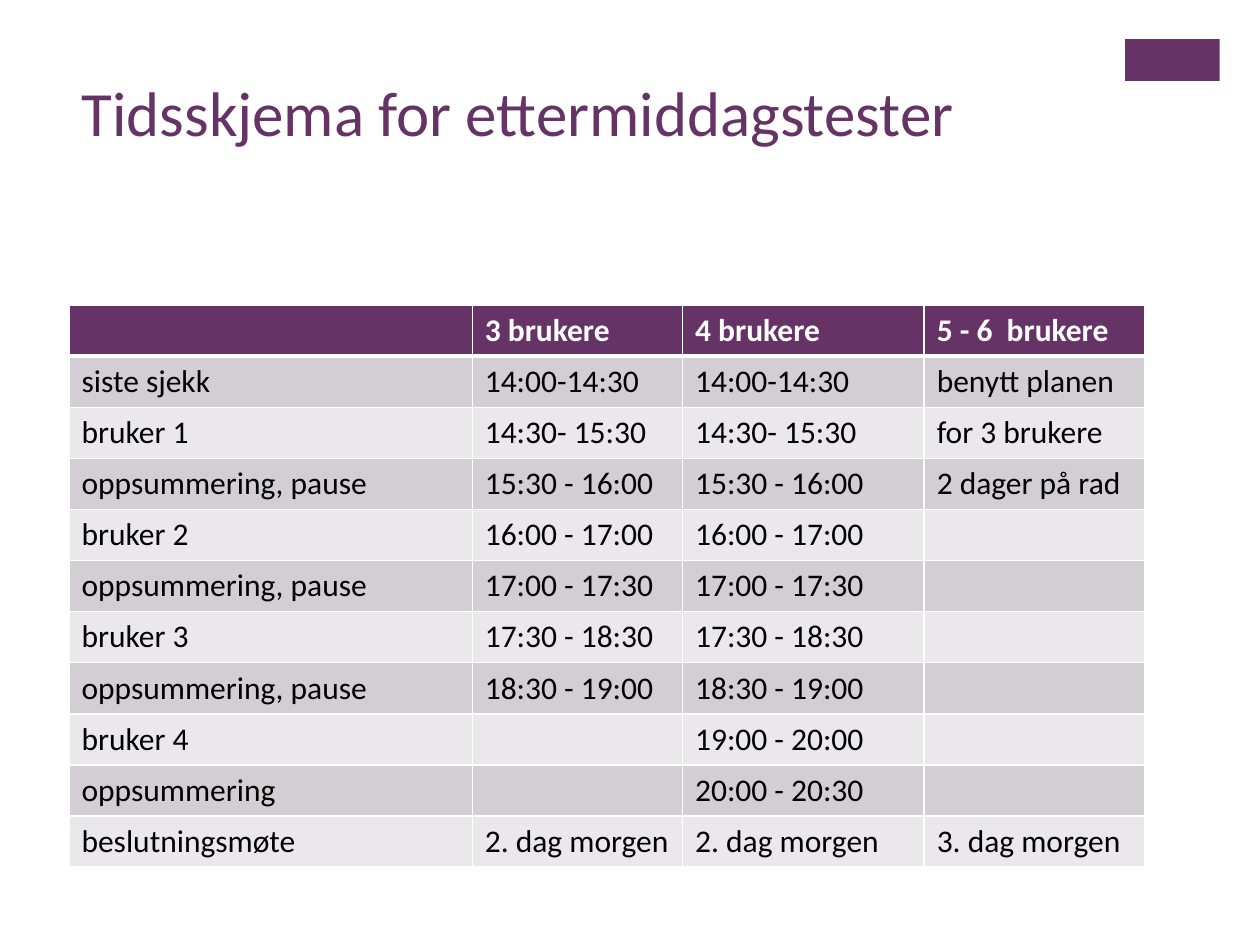
from typing import NamedTuple

from lxml.etree import SubElement
from pptx import Presentation
from pptx.dml.color import RGBColor
from pptx.enum.shapes import MSO_SHAPE
from pptx.enum.text import MSO_ANCHOR, MSO_AUTO_SIZE, PP_ALIGN
from pptx.oxml.ns import qn
from pptx.util import Cm, Pt

PURPLE = RGBColor(0x66, 0x33, 0x66)
DARK_BAND = RGBColor(0xD3, 0xCE, 0xD3)
LIGHT_BAND = RGBColor(0xEA, 0xE8, 0xEA)
WHITE = RGBColor(0xFF, 0xFF, 0xFF)
BLACK = RGBColor(0x00, 0x00, 0x00)
FONT = "Calibri"
LEFT = Cm(1.39)
ROW_HEIGHT = Cm(1.03)
COLUMN_WIDTHS = (Cm(8.13), Cm(4.24), Cm(4.87), Cm(4.45))


class Activity(NamedTuple):
    """One table row: an activity and its time for each number of users."""
    name: str
    three_users: str = ""
    four_users: str = ""
    more_users: str = ""


SCHEDULE = (
    Activity("", "3 brukere", "4 brukere", "5 - 6  brukere"),
    Activity("siste sjekk", "14:00-14:30", "14:00-14:30", "benytt planen"),
    Activity("bruker 1", "14:30- 15:30", "14:30- 15:30", "for 3 brukere"),
    Activity("oppsummering, pause", "15:30 - 16:00", "15:30 - 16:00", "2 dager på rad"),
    Activity("bruker 2", "16:00 - 17:00", "16:00 - 17:00"),
    Activity("oppsummering, pause", "17:00 - 17:30", "17:00 - 17:30"),
    Activity("bruker 3", "17:30 - 18:30", "17:30 - 18:30"),
    Activity("oppsummering, pause", "18:30 - 19:00", "18:30 - 19:00"),
    Activity("bruker 4", "", "19:00 - 20:00"),
    Activity("oppsummering", "", "20:00 - 20:30"),
    Activity("beslutningsmøte", "2. dag morgen", "2. dag morgen", "3. dag morgen"),
)


def format_font(font, size: int, color: RGBColor, bold: bool = False) -> None:
    """Apply the slide's font with a size, colour and weight."""
    font.name = FONT
    font.size = Pt(size)
    font.bold = bold
    font.color.rgb = color


def add_title(slide, text: str) -> None:
    """Place and format the title placeholder."""
    title = slide.shapes.title
    title.left, title.top, title.width, title.height = LEFT, Cm(1.35), Cm(20.98), Cm(3.1)
    frame = title.text_frame
    frame.text = text
    frame.auto_size = MSO_AUTO_SIZE.NONE
    frame.vertical_anchor = MSO_ANCHOR.TOP
    paragraph = frame.paragraphs[0]
    paragraph.alignment = PP_ALIGN.LEFT
    format_font(paragraph.runs[0].font, 36, PURPLE)


def add_corner_block(slide) -> None:
    """Draw the plain block in the top right corner."""
    block = slide.shapes.add_shape(MSO_SHAPE.RECTANGLE, Cm(22.68), Cm(0.79), Cm(1.91), Cm(0.84))
    block.shadow.inherit = False
    block.fill.solid()
    block.fill.fore_color.rgb = PURPLE
    block.line.fill.background()


def set_borders(cell, row: int) -> None:
    """Draw white borders, with a thicker rule below the header row."""
    properties = cell._tc.get_or_add_tcPr()
    thick_side = {0: "a:lnB", 1: "a:lnT"}.get(row)
    for position, side in enumerate(("a:lnL", "a:lnR", "a:lnT", "a:lnB")):
        width = Pt(3 if side == thick_side else 1)
        line = SubElement(properties, qn(side), w=str(int(width)))
        fill = SubElement(line, qn("a:solidFill"))
        SubElement(fill, qn("a:srgbClr"), val=str(WHITE))
        properties.insert(position, line)


def fill_cell(cell, text: str, row: int) -> None:
    """Write one cell and give it the style of its row."""
    header = row == 0
    cell.fill.solid()
    cell.fill.fore_color.rgb = PURPLE if header else DARK_BAND if row % 2 else LIGHT_BAND
    set_borders(cell, row)
    cell.text_frame.text = text
    for run in cell.text_frame.paragraphs[0].runs:
        format_font(run.font, 18, WHITE if header else BLACK, header)


def add_schedule(slide) -> None:
    """Add the timetable."""
    table = slide.shapes.add_table(
        len(SCHEDULE), len(COLUMN_WIDTHS), LEFT, Cm(6.15),
        sum(COLUMN_WIDTHS), ROW_HEIGHT * len(SCHEDULE)).table
    for column, width in zip(table.columns, COLUMN_WIDTHS):
        column.width = width
    for row, activity in enumerate(SCHEDULE):
        table.rows[row].height = ROW_HEIGHT
        for column, text in enumerate(activity):
            fill_cell(table.cell(row, column), text, row)


def main() -> None:
    """Build and save the slide."""
    presentation = Presentation()
    presentation.slide_width, presentation.slide_height = Cm(25.4), Cm(19.05)
    slide = presentation.slides.add_slide(presentation.slide_layouts[5])
    add_corner_block(slide)
    add_title(slide, "Tidsskjema for ettermiddagstester")
    add_schedule(slide)
    presentation.save("out.pptx")


main()
